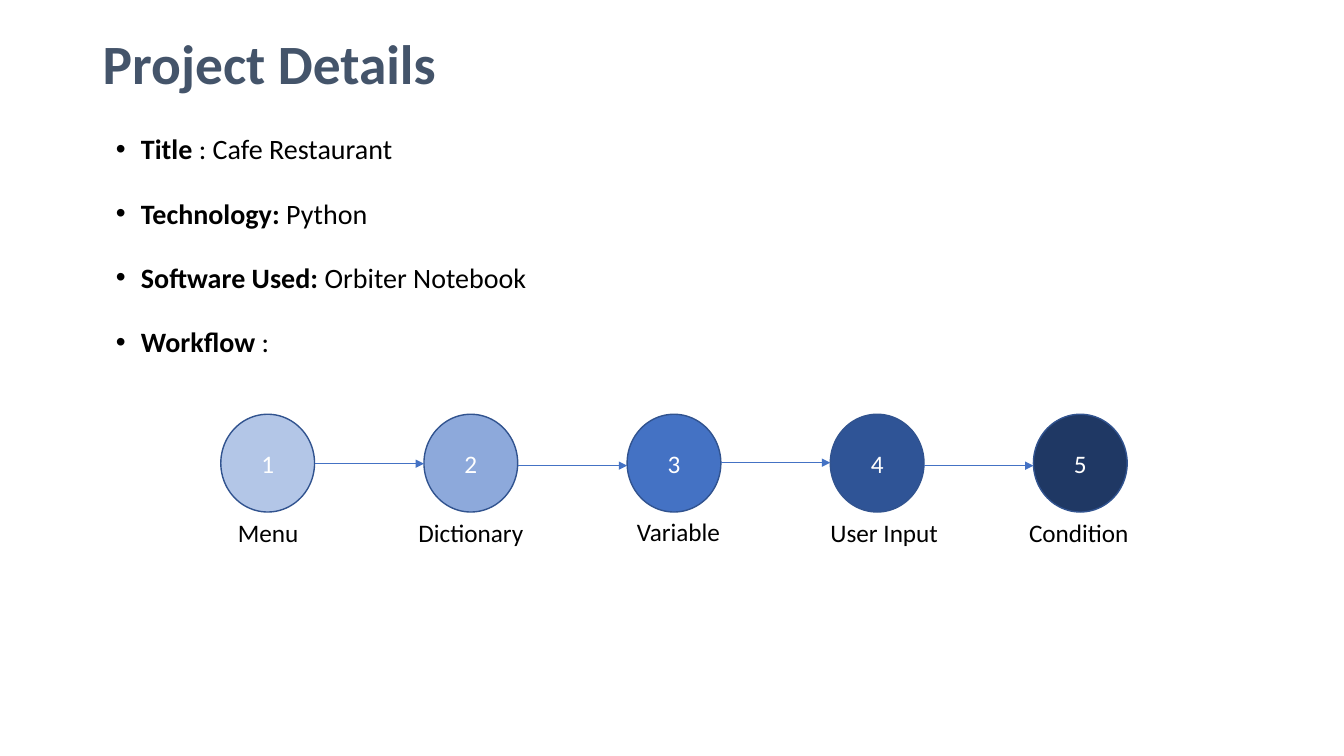
from lxml import etree
from pptx import Presentation
from pptx.dml.color import RGBColor
from pptx.enum import shapes, text
from pptx.oxml import ns
from pptx.util import Inches, Pt

FONT = "Calibri"
BLACK = RGBColor(0x00, 0x00, 0x00)
WHITE = RGBColor(0xFF, 0xFF, 0xFF)
SLATE = RGBColor(0x44, 0x54, 0x6A)
OUTLINE = RGBColor(0x31, 0x53, 0x8F)
BLUE = RGBColor(0x44, 0x72, 0xC4)
PALE_BLUE = RGBColor(0xB3, 0xC6, 0xE7)
LIGHT_BLUE = RGBColor(0x8D, 0xA9, 0xDB)
DARK_BLUE = RGBColor(0x2F, 0x54, 0x96)
NAVY = RGBColor(0x1F, 0x38, 0x64)

DETAILS = [
    ("Title ", ": Cafe Restaurant"),
    ("Technology: ", "Python"),
    ("Software Used: ", "Orbiter Notebook"),
    ("Workflow", " :"),
]
# Step name, circle colour, label centre, label top
STEPS = [
    ("Menu", PALE_BLUE, 2.66, 5.08),
    ("Dictionary", LIGHT_BLUE, 4.67, 5.08),
    ("Variable", BLUE, 6.73, 5.07),
    ("User Input", DARK_BLUE, 8.77, 5.08),
    ("Condition", NAVY, 10.7, 5.08),
]
ARROW_HEIGHTS = [4.6, 4.62, 4.59, 4.62]
FIRST_LEFT, LAST_LEFT = 2.19, 10.25
STEP_PITCH = (LAST_LEFT - FIRST_LEFT) / (len(STEPS) - 1)
CIRCLE_TOP, CIRCLE_WIDTH, CIRCLE_HEIGHT = 4.11, 0.93, 0.97
LABEL_WIDTH, LABEL_HEIGHT = 1.57, 0.4


def set_all(target, **values):
    for attribute, value in values.items():
        setattr(target, attribute, value)


def add_run(paragraph, wording, size, color, bold=False):
    run = paragraph.add_run()
    run.text = wording
    set_all(run.font, name=FONT, size=Pt(size), bold=bold)
    run.font.color.rgb = color


def add_text_frame(slide, left, top, width, height, anchor=text.MSO_ANCHOR.TOP):
    box = slide.shapes.add_textbox(*map(Inches, (left, top, width, height)))
    set_all(box.text_frame, word_wrap=True, vertical_anchor=anchor)
    return box.text_frame


def add_title(slide, wording):
    frame = add_text_frame(slide, 0.92, 0.4, 11.5, 0.52, text.MSO_ANCHOR.MIDDLE)
    heading = frame.paragraphs[0]
    heading.line_spacing = 0.9
    add_run(heading, wording, 39.6, SLATE, bold=True)


def add_bullet(paragraph):
    properties = paragraph._p.get_or_add_pPr()
    properties.set("marL", str(Inches(0.25)))
    properties.set("indent", str(Inches(-0.25)))
    etree.SubElement(properties, ns.qn("a:buFont"), typeface="Arial")
    etree.SubElement(properties, ns.qn("a:buChar"), char="•")


def add_details(slide):
    frame = add_text_frame(slide, 1.05, 1.09, 11.85, 2.7)
    for index, (term, value) in enumerate(DETAILS):
        detail = frame.add_paragraph() if index else frame.paragraphs[0]
        set_all(detail, alignment=text.PP_ALIGN.JUSTIFY, line_spacing=1.5,
                space_before=Pt(10 if index else 0))
        add_bullet(detail)
        add_run(detail, term, 20, BLACK, bold=True)
        add_run(detail, value, 20, BLACK)


def add_circle(slide, left, number, color):
    circle = slide.shapes.add_shape(
        shapes.MSO_SHAPE.OVAL,
        *map(Inches, (left, CIRCLE_TOP, CIRCLE_WIDTH, CIRCLE_HEIGHT)))
    circle.shadow.inherit = False
    circle.fill.solid()
    circle.fill.fore_color.rgb = color
    circle.line.color.rgb = OUTLINE
    circle.line.width = Pt(1)
    circle.text_frame.vertical_anchor = text.MSO_ANCHOR.MIDDLE
    caption = circle.text_frame.paragraphs[0]
    caption.alignment = text.PP_ALIGN.CENTER
    add_run(caption, str(number), 18, WHITE)


def add_label(slide, center, top, wording):
    frame = add_text_frame(slide, center - LABEL_WIDTH / 2, top,
                           LABEL_WIDTH, LABEL_HEIGHT)
    label = frame.paragraphs[0]
    label.alignment = text.PP_ALIGN.CENTER
    add_run(label, wording, 18, BLACK)


def add_arrow(slide, start, end, height):
    arrow = slide.shapes.add_connector(
        shapes.MSO_CONNECTOR.STRAIGHT, *map(Inches, (start, height, end, height)))
    arrow.line.color.rgb = BLUE
    arrow.line.width = Pt(0.75)
    etree.SubElement(arrow.line._get_or_add_ln(), ns.qn("a:tailEnd"), type="triangle")
    etree.SubElement(arrow._element.spPr, ns.qn("a:effectLst"))


def add_workflow(slide):
    lefts = [FIRST_LEFT + index * STEP_PITCH for index in range(len(STEPS))]
    for number, (left, step) in enumerate(zip(lefts, STEPS), start=1):
        name, color, center, label_top = step
        add_circle(slide, left, number, color)
        add_label(slide, center, label_top, name)
    for left, next_left, height in zip(lefts, lefts[1:], ARROW_HEIGHTS):
        add_arrow(slide, left + CIRCLE_WIDTH, next_left, height)


def main():
    deck = Presentation()
    set_all(deck, slide_width=Inches(13.33), slide_height=Inches(7.5))
    slide = deck.slides.add_slide(deck.slide_layouts[6])
    add_title(slide, "Project Details")
    add_details(slide)
    add_workflow(slide)
    deck.save("out.pptx")


if __name__ == "__main__":
    main()
